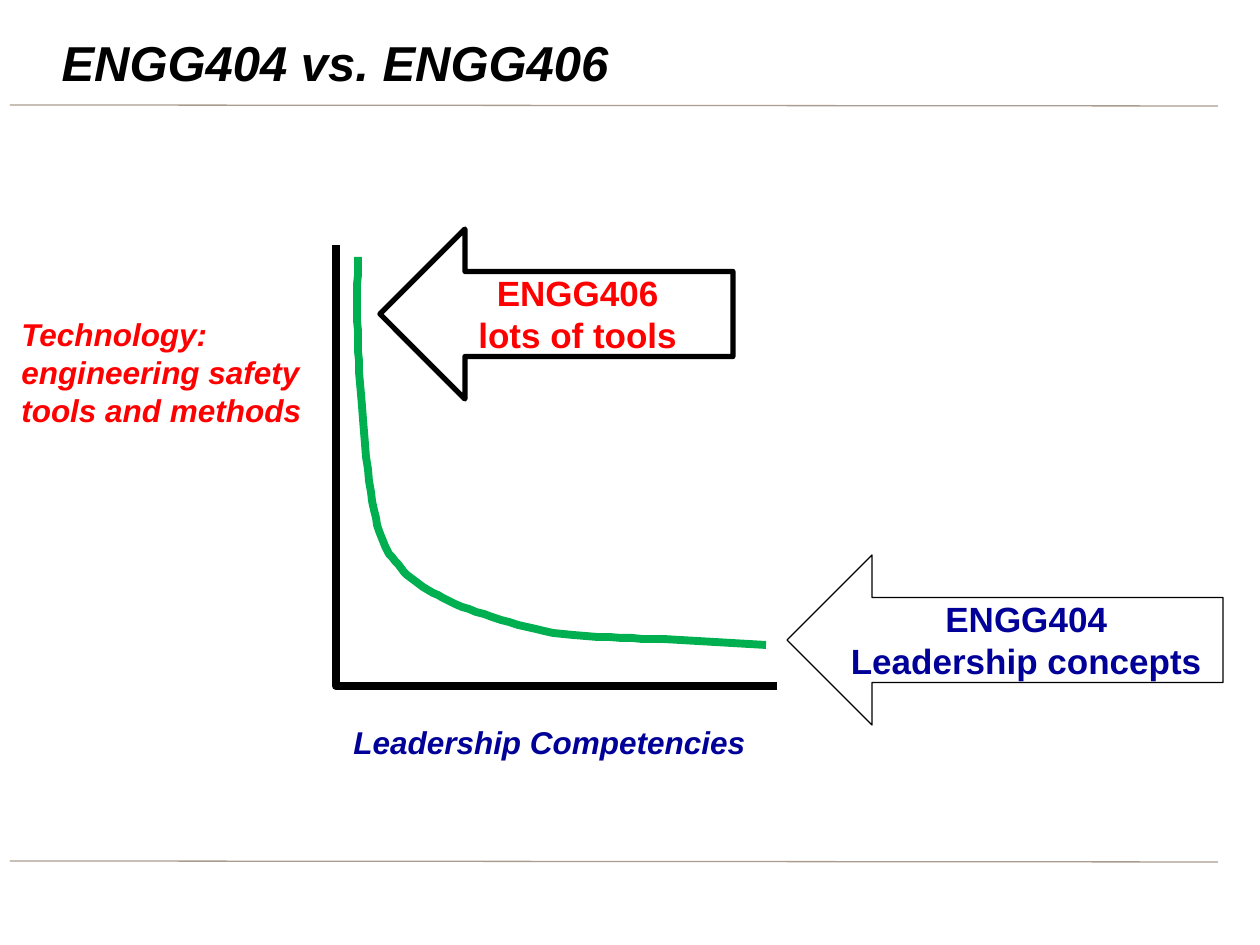
from dataclasses import dataclass

from lxml import etree
from pptx import Presentation
from pptx.dml.color import RGBColor
from pptx.enum.shapes import MSO_CONNECTOR, MSO_SHAPE
from pptx.enum.text import MSO_ANCHOR, MSO_AUTO_SIZE, PP_ALIGN
from pptx.oxml.ns import qn
from pptx.util import Emu, Pt

STRAIGHT, LEFT_ARROW = MSO_CONNECTOR.STRAIGHT, MSO_SHAPE.LEFT_ARROW
TOP, MIDDLE = MSO_ANCHOR.TOP, MSO_ANCHOR.MIDDLE
LEFT, CENTER = PP_ALIGN.LEFT, PP_ALIGN.CENTER
NO_FIT = MSO_AUTO_SIZE.NONE
PX = 914400 / 126


@dataclass(frozen=True)
class Theme:
    font: str = "Arial"
    black: str = "000000"
    rule: str = "AA9C8F"
    technology: str = "FF0000"
    leadership: str = "000099"
    curve: str = "00B050"
    title_size: int = 28
    arrow_size: int = 20
    label_size: int = 18
    thin: float = 0.75
    medium: float = 3
    thick: float = 4.5


T = Theme()

TITLE = ("ENGG404 vs. ENGG406", (49, 25, 1142, 74))
RULES = [(10, 105, 1218, 106), (10, 861, 1218, 862)]
# text, box, colour
LABELS = [
    ("Leadership Competencies", (341, 717, 431, 50), T.leadership),
    ("Technology:\vengineering safety\vtools and methods", (9, 309, 329, 127), T.technology),
]
# text, box, text colour, outline width
ARROWS = [
    ("ENGG406\vlots of tools", (380, 229, 353, 170), T.technology, T.medium),
    ("ENGG404\vLeadership concepts", (787, 555, 436, 170), T.leadership, T.thin),
]
AXES = [(336, 245), (336, 686), (777, 686)]
CURVE_START, CURVE_END = (358, 257), (766, 645)
# two control points and an end point for each Bézier segment
CURVE = [
    ((357, 292), (357, 329), (359, 372)),
    ((362, 413), (367, 478), (374, 510)),
    ((381, 543), (387, 553), (401, 568)),
    ((413, 583), (430, 592), (455, 604)),
    ((480, 614), (519, 626), (553, 633)),
    ((588, 638), (663, 639), (663, 639)),
]
STEPS = 12


def emu(lengths):
    return [Emu(round(v * PX)) for v in lengths]


def set_line(shape, color, width):
    shape.line.color.rgb = RGBColor.from_string(color)
    shape.line.width = Pt(width)


def write(shape, text, size, color, anchor=TOP, align=LEFT, italic=True):
    tf = shape.text_frame
    tf.auto_size = NO_FIT
    tf.word_wrap = True
    tf.vertical_anchor = anchor
    tf.text = text
    p = tf.paragraphs[0]
    p.alignment = align
    p.font.name, p.font.size = T.font, Pt(size)
    p.font.bold, p.font.italic = True, italic
    p.font.color.rgb = RGBColor.from_string(color)


def add_path(s, points, color):
    """Draw an open, unfilled outline through the points."""
    builder = s.shapes.build_freeform(*points[0], scale=PX)
    builder.add_line_segments(points[1:], close=False)
    sp = builder.convert_to_shape()
    sp.shadow.inherit = False
    sp.fill.background()
    set_line(sp, color, T.thick)


def curve_points():
    """Sample the Bézier segments, then add the straight tail."""
    points = [CURVE_START]
    for c1, c2, end in CURVE:
        start = points[-1]
        for i in range(1, STEPS + 1):
            t = i / STEPS
            u = 1 - t
            weights = (u**3, 3 * u * u * t, 3 * u * t * t, t**3)
            points.append(tuple(
                sum(w * v for w, v in zip(weights, axis))
                for axis in zip(start, c1, c2, end)))
    return points + [CURVE_END]


def main():
    prs = Presentation()
    prs.slide_width, prs.slide_height = emu((1260, 945))
    s = prs.slides.add_slide(prs.slide_layouts[5])

    for ends in RULES:
        line = s.shapes.add_connector(STRAIGHT, *emu(ends))
        set_line(line, T.rule, T.thin)
        etree.SubElement(line._element.spPr, qn("a:effectLst"))

    text, box = TITLE
    title = s.shapes.title
    title.left, title.top, title.width, title.height = emu(box)
    write(title, text, T.title_size, T.black, MIDDLE)

    add_path(s, AXES, T.black)
    add_path(s, curve_points(), T.curve)

    for text, box, color in LABELS:
        write(s.shapes.add_textbox(*emu(box)), text, T.label_size, color)

    for text, box, color, width in ARROWS:
        sp = s.shapes.add_shape(LEFT_ARROW, *emu(box))
        sp.shadow.inherit = False
        sp.fill.background()
        set_line(sp, T.black, width)
        write(sp, text, T.arrow_size, color, MIDDLE, CENTER, italic=False)

    prs.save("out.pptx")


if __name__ == "__main__":
    main()
